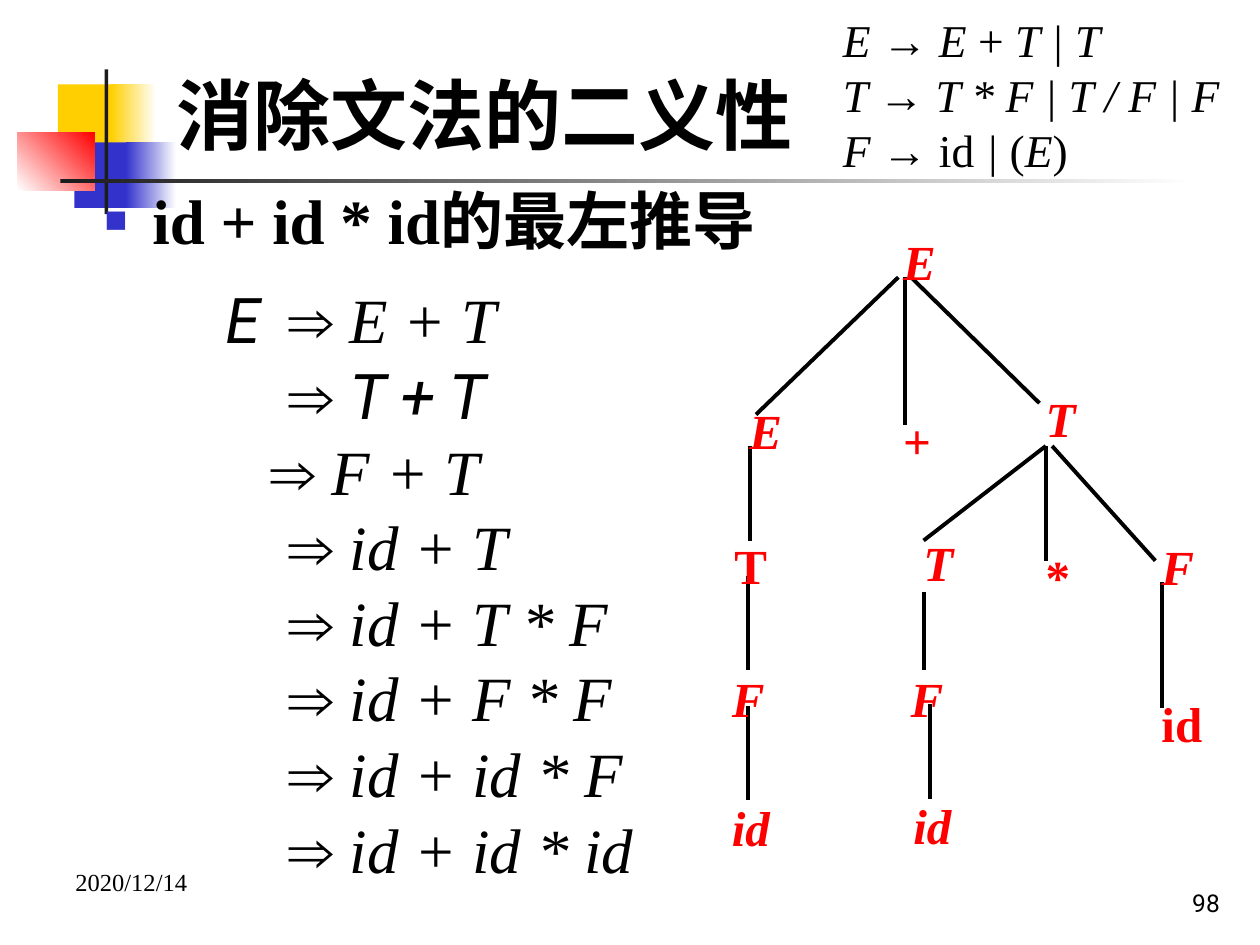
from lxml.etree import SubElement
from pptx import Presentation
from pptx.dml.color import RGBColor
from pptx.enum.shapes import MSO_CONNECTOR as Connector, MSO_SHAPE as Shape
from pptx.enum.text import MSO_ANCHOR as Anchor, MSO_AUTO_SIZE as AutoSize, PP_ALIGN as Align
from pptx.oxml.ns import qn
from pptx.util import Inches, Pt

COLORS = {
    "ink": "000000", "paper": "FFFFFF", "gold": "FFCF01", "blue": "3333CC",
    "red": "FF0000", "bar": "1C1C1C",
}
SERIF, SANS = "Times New Roman", "Roboto"
COLUMNS, ROWS = 100, 75


class SlideBuilder:
    def __init__(self, deck):
        self.column = deck.slide_width / COLUMNS
        self.row = deck.slide_height / ROWS
        self.page = deck.slides.add_slide(deck.slide_layouts[1])

    def color(self, name):
        return RGBColor.from_string(COLORS[name])

    def place(self, left, top, width, height):
        return [round(left * self.column), round(top * self.row),
                round(width * self.column), round(height * self.row)]

    def block(self, area, start, end=None, angle=0):
        block = self.page.shapes.add_shape(Shape.RECTANGLE, *self.place(*area))
        block.shadow.inherit = False
        block.line.fill.background()
        if end is None:
            block.fill.solid()
            block.fill.fore_color.rgb = self.color(start)
            return
        block.fill.gradient()
        block.fill.gradient_angle = angle
        for stop, name, position in zip(block.fill.gradient_stops, (start, end), (0, 1)):
            stop.color.rgb = self.color(name)
            stop.position = position

    def line(self, start, end):
        x1, y1 = self.place(*start, 0, 0)[:2]
        x2, y2 = self.place(*end, 0, 0)[:2]
        line = self.page.shapes.add_connector(Connector.STRAIGHT, x1, y1, x2, y2)
        line.line.color.rgb = self.color("ink")
        line.line.width = Pt(2.25)
        SubElement(line.element.spPr, qn("a:effectLst"))

    def span(self, para, text, size, color="ink", font=SERIF, bold=False, italic=False):
        span = para.add_run()
        span.text = text
        span.font.size, span.font.name = Pt(size), font
        span.font.bold, span.font.italic = bold, italic
        span.font.color.rgb = self.color(color)

    def frame(self, box, anchor=Anchor.TOP):
        frame = box.text_frame
        frame.word_wrap = True
        frame.auto_size = AutoSize.NONE
        frame.vertical_anchor = anchor
        return frame

    def text(self, area, anchor=Anchor.TOP):
        return self.frame(self.page.shapes.add_textbox(*self.place(*area)), anchor)

    def placeholder(self, index, area, anchor=Anchor.TOP):
        box = self.page.placeholders[index]
        box.left, box.top, box.width, box.height = self.place(*area)
        box.element.getparent().append(box.element)
        para = self.frame(box, anchor).paragraphs[0]
        para.alignment = Align.LEFT
        para.space_before = Pt(0)
        return para

    def indent(self, para, left, first=0):
        properties = para._p.get_or_add_pPr()
        properties.set("marL", str(round(left * self.column)))
        properties.set("indent", str(round(first * self.column)))
        return properties

    def bullet(self, para):
        properties = self.indent(para, 3.8, -3.8)
        tint = SubElement(properties, qn("a:buClr"))
        SubElement(tint, qn("a:srgbClr"), val=COLORS["blue"])
        SubElement(properties, qn("a:buSzPct"), val="60000")
        SubElement(properties, qn("a:buChar"), char="■")

    def tab(self, para, position):
        tabs = SubElement(para._p.get_or_add_pPr(), qn("a:tabLst"))
        SubElement(tabs, qn("a:tab"), pos=str(round(position * self.column)), algn="l")

    def paragraphs(self, frame, count):
        return [frame.paragraphs[0]] + [frame.add_paragraph() for _ in range(count - 1)]

    def node(self, left, top, text, italic):
        frame = self.text((left, top, 7.7, 6))
        frame.margin_top = Inches(0.09)
        para = frame.paragraphs[0]
        para.line_spacing = 1.1
        self.span(para, text, 28, "red", bold=True, italic=italic)


BLOCKS = [
    ((4.6, 6.7, 4.8, 5.2), "gold"),
    ((8.8, 6.7, 3.6, 5.2), "gold", "paper"),
    ((5.9, 11.3, 4.6, 5.2), "blue"),
    ((10, 11.3, 4, 5.2), "blue", "paper"),
    ((1.4, 10.5, 6.1, 4.6), "paper", "red", 45),
    ((8.3, 5.5, 0.3, 11.5), "bar"),
    ((4.8, 14.2, 90, 0.3), "bar", "paper"),
]
GRAMMAR = [
    [("E ", True), ("→ ", False), ("E", True), (" + ", False), ("T | T", True)],
    [("T → T * F | T / F | F", True)],
    [("F → ", True), ("id", False), (" | ", True), ("(", False), ("E", True), (")", False)],
]
DERIVATION = [
    (0, [("E\t", SANS), ("⇒ E + T", SERIF)]),
    (5, [("⇒ ", SERIF), ("T + T", SANS)]),
    (3.6, [("⇒ F + T", SERIF)]),
] + [(5, [("⇒ " + form, SERIF)]) for form in
     ("id + T", "id + T * F", "id + F * F", "id + id * F", "id + id * id")]
BRANCHES = [
    ((71.3, 22), (60, 32.9)), ((71.8, 22), (71.8, 33.7)), ((72.3, 22), (82.5, 32)),
    ((83, 35.4), (73.3, 42.9)), ((83, 35.4), (83, 44.5)), ((83.5, 35.4), (91.7, 44.5)),
    ((59.5, 35.4), (59.5, 42.9)), ((59.4, 45.7), (59.4, 53.2)), ((59.4, 56), (59.4, 63.5)),
    ((73.3, 47), (73.3, 53.2)), ((73.8, 55.9), (73.8, 63.4)), ((92.2, 46.2), (92.2, 56.2)),
]
NODES = [
    (70.7, 17, "E", True), (58.5, 30.4, "E", True), (70.7, 31.2, "+", False),
    (82, 29.5, "T", True), (57.3, 41.1, "T", False), (72.3, 40.9, "T", True),
    (82, 42, "*", False), (91.2, 41.2, "F", True), (57.1, 51.7, "F", True),
    (71.3, 51.7, "F", True), (91.2, 53.7, "id", False), (57.1, 61.9, "id", True),
    (71.5, 61.8, "id", True),
]


def main():
    deck = Presentation()
    deck.slide_width, deck.slide_height = Inches(10), Inches(7.5)
    slide = SlideBuilder(deck)

    for block in BLOCKS:
        slide.block(*block)

    title = slide.placeholder(0, (13, 2.8, 85, 12.5), Anchor.MIDDLE)
    slide.span(title, "消除文法的二义性", 44, bold=True)
    topic = slide.placeholder(1, (7.3, 13.9, 55.3, 6.3))
    slide.bullet(topic)
    slide.span(topic, "id + id * id的最左推导", 36, bold=True)

    grammar = slide.text((60.9, 0.5, 38.5, 14.1))
    for para, spans in zip(slide.paragraphs(grammar, len(GRAMMAR)), GRAMMAR):
        slide.indent(para, 5)
        for text, italic in spans:
            slide.span(para, text, 26, italic=italic)

    derivation = slide.text((16.9, 21.8, 38, 49.5))
    for para, (left, spans) in zip(slide.paragraphs(derivation, len(DERIVATION)), DERIVATION):
        slide.indent(para, left)
        if left == 0:
            slide.tab(para, 5.3)
        for text, font in spans:
            slide.span(para, text, 36, font=font, italic=True)

    for branch in BRANCHES:
        slide.line(*branch)
    for node in NODES:
        slide.node(*node)

    date = slide.text((5, 68.3, 23.3, 5.2)).paragraphs[0]
    slide.span(date, "2020/12/14", 14)
    number = slide.text((77, 68.3, 20.8, 5), Anchor.BOTTOM).paragraphs[0]
    number.alignment = Align.RIGHT
    slide.span(number, "98", 14, font=SANS)

    deck.save("out.pptx")


if __name__ == "__main__":
    main()
